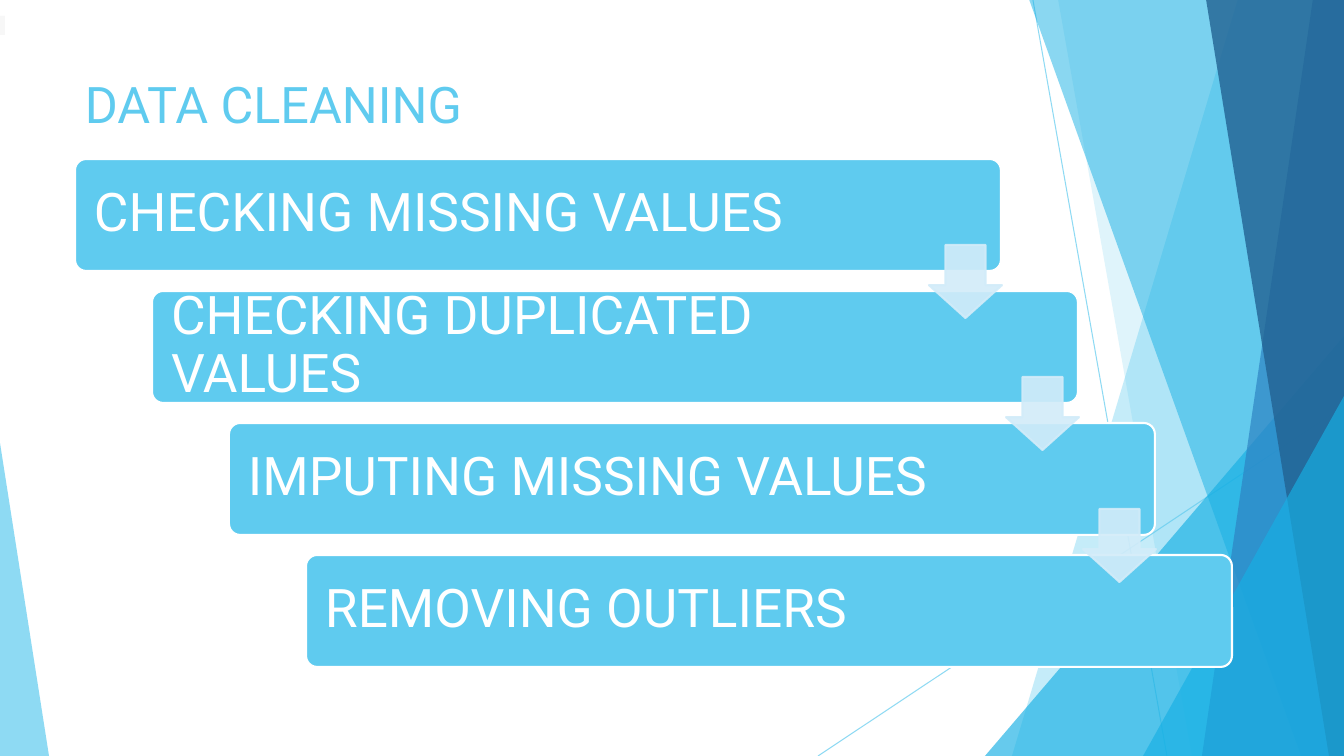
from dataclasses import dataclass

import pptx
import pptx.dml.color
import pptx.enum.shapes
import pptx.enum.text
import pptx.oxml
import pptx.oxml.ns
import pptx.util

SHAPE = pptx.enum.shapes.MSO_SHAPE
ANCHOR = pptx.enum.text.MSO_ANCHOR
EMU_PER_PX = 914400 / 100.8
WIDTH, HEIGHT = 1344, 756


@dataclass(frozen=True)
class Theme:
    font: str = "Roboto"
    title_size: int = 36
    step_size: int = 38
    sky: str = "5FCBEF"
    cyan: str = "17B0E4"
    blue: str = "2E83C3"
    navy: str = "226292"
    pale: str = "D2ECF9"
    gray: str = "F7F7F7"
    white: str = "FFFFFF"


THEME = Theme()
STEPS = ["CHECKING MISSING VALUES", "CHECKING DUPLICATED VALUES",
         "IMPUTING MISSING VALUES", "REMOVING OUTLIERS"]
STEP_DX, STEP_DY = 77, 132


def px(n):
    return pptx.util.Emu(round(n * EMU_PER_PX))


def paint(color_format, color, opacity):
    color_format.rgb = pptx.dml.color.RGBColor.from_string(color)
    if opacity < 100:
        clr = color_format._xFill.find(".//" + pptx.oxml.ns.qn("a:srgbClr"))
        alpha = pptx.oxml.parse_xml(
            f'<a:alpha {pptx.oxml.ns.nsdecls("a")} val="{opacity * 1000}"/>')
        clr.append(alpha)


def style(s, color, opacity=100, outline=None):
    s.shadow.inherit = False
    s.fill.solid()
    paint(s.fill.fore_color, color, opacity)
    if outline:
        s.line.fill.solid()
        paint(s.line.fill.fore_color, outline, opacity)
        s.line.width = pptx.util.Pt(1.5)
    else:
        s.line.fill.background()


def add_preset(slide, kind, box, color, opacity=100, outline=None, adjust=()):
    s = slide.shapes.add_shape(kind, *map(px, box))
    for i, value in enumerate(adjust):
        s.adjustments[i] = value
    style(s, color, opacity, outline)


def add_panel(slide, top_x, bottom_x, color, opacity):
    """Band from a slanted left edge to the right edge of the slide."""
    builder = slide.shapes.build_freeform(top_x, -1, scale=EMU_PER_PX)
    builder.add_line_segments([(WIDTH, -1), (WIDTH, HEIGHT), (bottom_x, HEIGHT)])
    style(builder.convert_to_shape(), color, opacity)


def add_thin_line(slide, x1, y1, x2, y2):
    s = slide.shapes.add_connector(
        pptx.enum.shapes.MSO_CONNECTOR.STRAIGHT, px(x1), px(y1), px(x2), px(y2))
    s.line.width = pptx.util.Pt(0.75)
    s.line.fill.solid()
    paint(s.line.fill.fore_color, THEME.sky, 70)
    s._element.spPr.append(pptx.oxml.parse_xml(
        f'<a:effectLst {pptx.oxml.ns.nsdecls("a")}/>'))


def add_text(slide, box, text, size, color, anchor=ANCHOR.TOP, inset=None):
    tf = slide.shapes.add_textbox(*map(px, box)).text_frame
    tf.word_wrap = True
    tf.vertical_anchor = anchor
    if inset is not None:
        tf.margin_left = tf.margin_right = px(inset)
        tf.margin_top = tf.margin_bottom = px(inset)
    p = tf.paragraphs[0]
    p.text = text
    p.font.name = THEME.font
    p.font.size = pptx.util.Pt(size)
    p.font.color.rgb = pptx.dml.color.RGBColor.from_string(color)
    return p


def add_backdrop(slide):
    t = THEME
    add_thin_line(slide, 1033, 0, 1167, HEIGHT)
    add_thin_line(slide, WIDTH, 406, 818, HEIGHT)
    add_panel(slide, 1238, 1012, t.sky, 36)
    add_panel(slide, 1058, 1192, t.sky, 20)
    add_preset(slide, SHAPE.ISOSCELES_TRIANGLE, (985, 336, 359, 420), t.cyan, 66, adjust=[1])
    add_panel(slide, 1029, 1301, t.cyan, 50)
    add_panel(slide, 1313, 1202, t.blue, 70)
    add_panel(slide, 1206, 1329, t.navy, 80)
    add_preset(slide, SHAPE.ISOSCELES_TRIANGLE, (1143, 396, 201, 360), t.cyan, 66, adjust=[1])
    add_preset(slide, SHAPE.ISOSCELES_TRIANGLE, (0, 443, 49, 313), t.sky, 70, adjust=[0])


def add_step(slide, i, text):
    x, y = 75 + i * STEP_DX, 159 + i * STEP_DY
    add_preset(slide, SHAPE.ROUNDED_RECTANGLE, (x, y, 926, 112), THEME.sky,
               outline=THEME.white, adjust=[0.1])
    text_width = 797 if i == 0 else 770
    p = add_text(slide, (x + 3, y + 3, text_width, 105), text, THEME.step_size,
                 THEME.white, ANCHOR.MIDDLE, inset=16)
    p.line_spacing = 0.9


def add_step_arrow(slide, i):
    box = (929 + i * STEP_DX, 245 + i * STEP_DY, 73, 73)
    add_preset(slide, SHAPE.DOWN_ARROW, box, THEME.pale, 90,
               outline=THEME.pale, adjust=[0.55, 0.45])


def main():
    prs = pptx.Presentation()
    prs.slide_width, prs.slide_height = px(WIDTH), px(HEIGHT)
    slide = prs.slides.add_slide(prs.slide_layouts[6])

    # Faceted background
    add_backdrop(slide)

    # Title and edge mark
    add_text(slide, (75, 68, 948, 145), "DATA CLEANING", THEME.title_size, THEME.sky)
    add_preset(slide, SHAPE.RECTANGLE, (0, 16, 5, 19), THEME.gray)

    # Staircase of steps, with arrows on top
    for i, text in enumerate(STEPS):
        add_step(slide, i, text)
    for i in range(len(STEPS) - 1):
        add_step_arrow(slide, i)

    prs.save("out.pptx")


if __name__ == "__main__":
    main()
